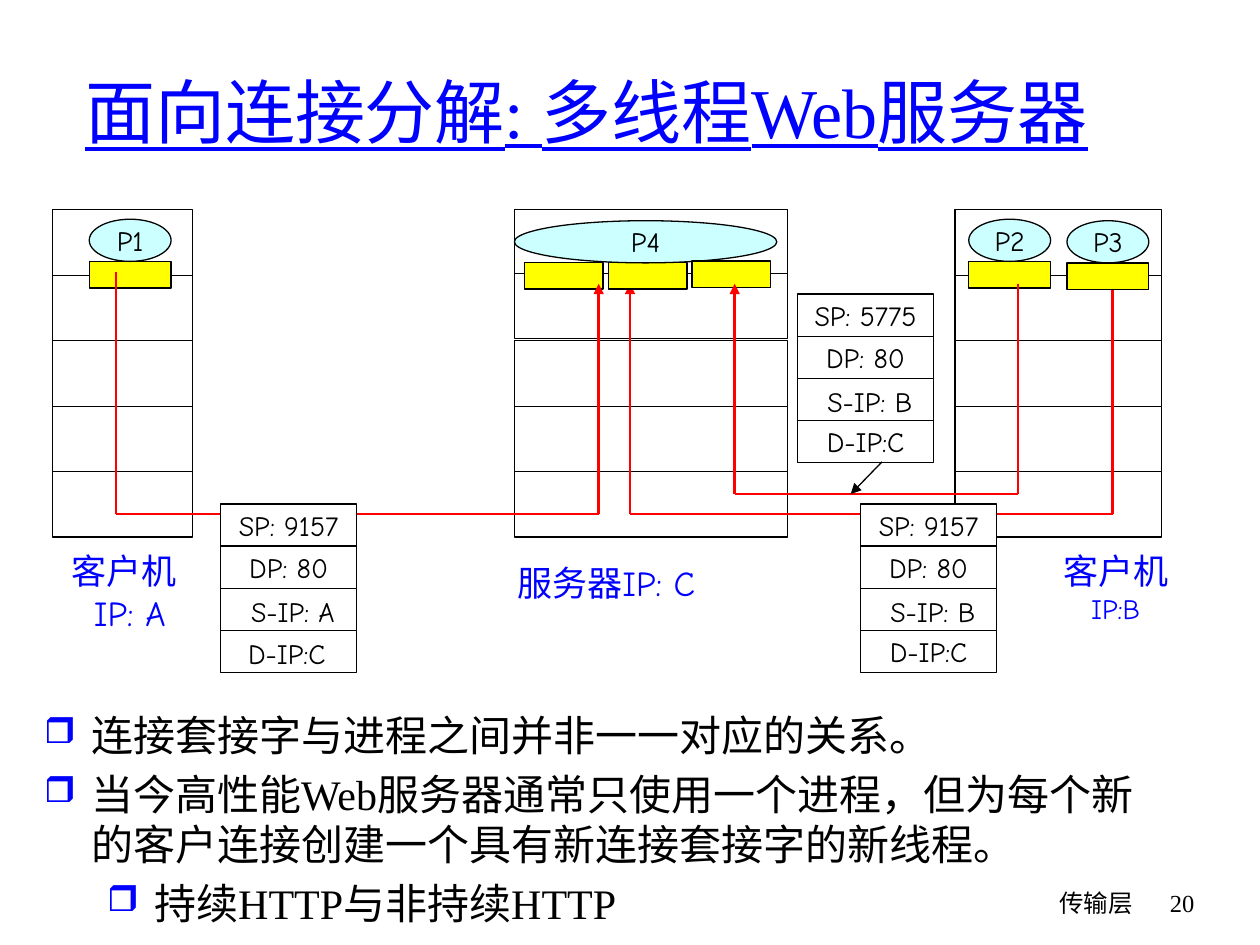
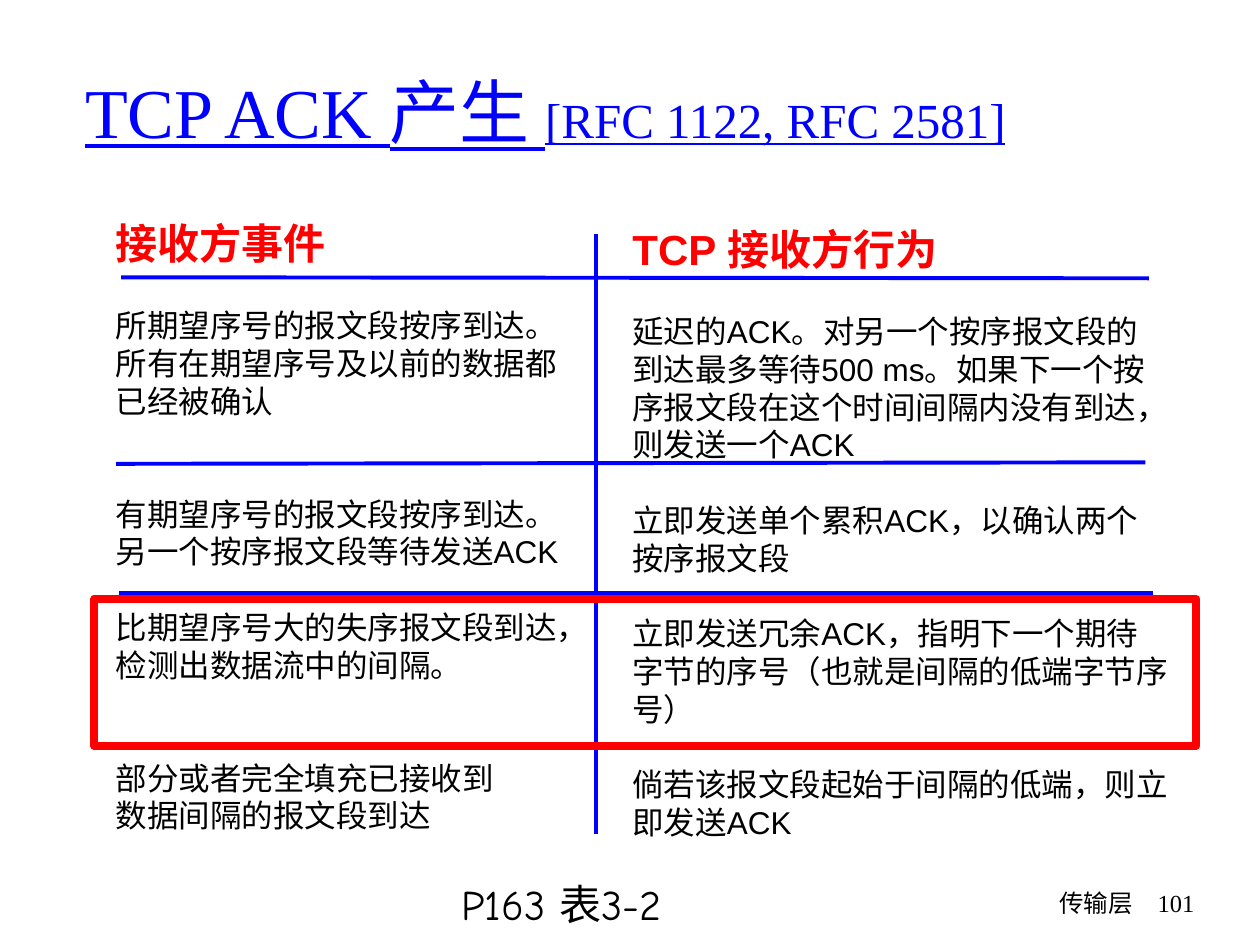
from dataclasses import dataclass
from itertools import pairwise

from lxml import etree
from pptx import Presentation
from pptx.dml.color import RGBColor
from pptx.enum.shapes import MSO_CONNECTOR, MSO_SHAPE
from pptx.enum.text import MSO_ANCHOR, PP_ALIGN
from pptx.oxml.ns import qn
from pptx.util import Cm, Pt

RECTANGLE, ELLIPSE = MSO_SHAPE.RECTANGLE, MSO_SHAPE.OVAL
STRAIGHT = MSO_CONNECTOR.STRAIGHT
LEFT, CENTER, RIGHT = PP_ALIGN.LEFT, PP_ALIGN.CENTER, PP_ALIGN.RIGHT
TOP, MIDDLE = MSO_ANCHOR.TOP, MSO_ANCHOR.MIDDLE

BLACK, BLUE, RED = "000000", "0000FF", "FF0000"
SERIF, SANS, COMIC = "Times New Roman", "Arial", "Comic Neue"


@dataclass(frozen=True)
class TextStyle:
    size: float
    font: str
    color: str = BLACK
    bold: bool = False
    underline: bool = False


@dataclass(frozen=True)
class Theme:
    paper: str = "FFFFFF"
    socket: str = "FFFF00"
    process: str = "CCFFFF"
    outline: float = 0.75
    route: float = 1.5
    rule: float = 2.25
    frame: float = 4.5
    title: TextStyle = TextStyle(40, SERIF, BLUE, underline=True)
    reference: TextStyle = TextStyle(28, SERIF, BLUE, underline=True)
    body: TextStyle = TextStyle(24, SERIF)
    footer: TextStyle = TextStyle(14, COMIC)
    number: TextStyle = TextStyle(14, SERIF)
    host: TextStyle = TextStyle(20, COMIC, BLUE)
    address: TextStyle = TextStyle(16, COMIC, BLUE)
    label: TextStyle = TextStyle(16, COMIC)
    heading: TextStyle = TextStyle(24, SANS, RED, bold=True)
    cell: TextStyle = TextStyle(18, SANS)
    caption: TextStyle = TextStyle(24, COMIC)
    blank_line: float = 21.5


class Deck:
    """Holds the theme and the current slide; all lengths are centimetres."""

    def __init__(self, theme):
        self.theme = theme
        self.presentation = Presentation()
        self.presentation.slide_width = Cm(25.4)
        self.presentation.slide_height = Cm(19.05)
        self.slide = None

    # Shared slide parts
    def new_slide(self, number, title_runs):
        self.slide = self.presentation.slides.add_slide(self.presentation.slide_layouts[6])
        title = self.text_box(1.47, 0.64, 21.59, 3.18, anchor=MIDDLE)
        self.paragraph(title, title_runs)
        footer = self.text_box(15.04, 17.78, 8.05, 1.27)
        self.paragraph(footer, [("传输层", self.theme.footer)], RIGHT)
        page = self.text_box(23.06, 17.78, 1.27, 1.27)
        self.paragraph(page, [(number, self.theme.number)], RIGHT)

    # Text
    def text_box(self, left, top, width, height, anchor=TOP, wrap=True):
        box = self.slide.shapes.add_textbox(Cm(left), Cm(top), Cm(width), Cm(height))
        frame = box.text_frame
        frame.word_wrap = wrap
        frame.vertical_anchor = anchor
        return frame

    def paragraph(self, frame, runs, align=LEFT, space_before=0):
        paragraph = frame.add_paragraph() if frame.text else frame.paragraphs[0]
        paragraph.alignment = align
        if space_before:
            paragraph.space_before = Pt(space_before)
        for text, style in runs:
            run = paragraph.add_run()
            run.text = text
            run.font.size = Pt(style.size)
            run.font.name = style.font
            run.font.bold = style.bold
            run.font.underline = style.underline
            run.font.color.rgb = RGBColor.from_string(style.color)
        return paragraph

    def bullet(self, frame, text, level=0, space_before=0):
        paragraph = self.paragraph(frame, [(text, self.theme.body)], space_before=space_before)
        paragraph.level = level
        properties = paragraph._p.get_or_add_pPr()
        properties.set("marL", str(Cm(0.95 + 1.27 * level)))
        properties.set("indent", str(Cm(-0.95)))
        color = etree.SubElement(properties, qn("a:buClr"))
        etree.SubElement(color, qn("a:srgbClr"), val=BLUE)
        etree.SubElement(properties, qn("a:buSzPct"), val="85000")
        etree.SubElement(properties, qn("a:buChar"), char="❒")

    # Shapes and lines
    def shape(self, kind, left, top, width, height, fill=None, text="", line=BLACK, weight=None):
        shape = self.slide.shapes.add_shape(kind, Cm(left), Cm(top), Cm(width), Cm(height))
        shape.shadow.inherit = False
        if fill:
            shape.fill.solid()
            shape.fill.fore_color.rgb = RGBColor.from_string(fill)
        else:
            shape.fill.background()
        shape.line.color.rgb = RGBColor.from_string(line)
        shape.line.width = Pt(weight or self.theme.outline)
        if text:
            shape.text_frame.word_wrap = False
            shape.text_frame.vertical_anchor = MIDDLE
            self.paragraph(shape.text_frame, [(text, self.theme.label)], CENTER)

    def line(self, start, end, color, weight, arrow=False):
        ends = [Cm(value) for value in (*start, *end)]
        connector = self.slide.shapes.add_connector(STRAIGHT, *ends)
        connector.line.color.rgb = RGBColor.from_string(color)
        connector.line.width = Pt(weight)
        if arrow:
            etree.SubElement(connector.line._get_or_add_ln(), qn("a:tailEnd"), type="triangle")
        etree.SubElement(connector._element.spPr, qn("a:effectLst"))

    # Network diagram elements
    def layers(self, left, width, tops):
        for top in tops:
            self.shape(RECTANGLE, left, top, width, 1.32, self.theme.paper)

    def socket(self, left, top, width):
        self.shape(RECTANGLE, left, top, width, 0.54, self.theme.socket)

    def process(self, name, left, top, width):
        self.shape(ELLIPSE, left, top, width, 0.85, self.theme.process, name)

    def client_process(self, name, left, top):
        self.socket(left, top + 0.85, 1.65)
        self.process(name, left, top, 1.65)

    def connection(self, client_x, client_y, lane_y, server_x):
        """Red route from a client socket down, across and up to the server."""
        corners = [(client_x, client_y), (client_x, lane_y), (server_x, lane_y), (server_x, 5.72)]
        for start, end in pairwise(corners):
            self.line(start, end, RED, self.theme.route, arrow=end == corners[-1])

    def segment_header(self, left, top, fields, floating):
        """Four stacked fields; floating maps a row to the offset of its label."""
        height = 0.85
        for row, field in enumerate(fields):
            text = "" if row in floating else field
            self.shape(RECTANGLE, left, top + row * height, 2.74, height, self.theme.paper, text)
        for row, offset in floating.items():
            frame = self.text_box(left + offset, top + row * height, 2.45, 0.94, wrap=False)
            self.paragraph(frame, [(fields[row], self.theme.label)], CENTER)

    def host_label(self, left, top, width, lines, wrap=False):
        frame = self.text_box(left, top, width, 1.9, wrap=wrap)
        for run in lines:
            self.paragraph(frame, [run], CENTER)

    # Comparison columns
    def column(self, left, top, width, height, heading, entries):
        """Each entry is a text and the number of line heights left above it."""
        frame = self.text_box(left, top, width, height)
        self.paragraph(frame, [(heading, self.theme.heading)])
        for text, gap in entries:
            self.paragraph(frame, [(text, self.theme.cell)],
                           space_before=gap * self.theme.blank_line)


def build_web_server_slide(deck):
    theme = deck.theme
    deck.new_slide("20", [("面向连接分解: 多线程Web服务器", theme.title)])

    # Protocol stacks of the hosts
    layer_tops = [4.23 + 1.32 * row for row in range(5)]
    server_tops = [layer_tops[0], 5.51, *layer_tops[2:]]
    deck.layers(1.06, 2.82, layer_tops)
    deck.layers(19.25, 4.17, layer_tops)
    deck.layers(10.37, 5.51, server_tops)

    # Host labels
    deck.host_label(1.19, 10.95, 2.62, [("客户机", theme.host), (" IP: A", theme.host)])
    deck.host_label(10.11, 11.2, 4.22, [("服务器IP: C", theme.host)], wrap=True)
    deck.host_label(21.18, 10.95, 2.62, [("客户机", theme.host), ("IP:B", theme.address)])

    # Processes, sockets and connections
    deck.client_process("P1", 1.8, 4.42)
    deck.client_process("P2", 19.53, 4.42)
    deck.socket(10.58, 5.29, 1.58)
    deck.connection(2.34, 5.49, 10.36, 12.07)
    deck.connection(22.43, 5.51, 10.36, 12.7)
    deck.socket(12.27, 5.29, 1.58)
    deck.process("P4", 10.37, 4.45, 5.29)
    deck.socket(13.95, 5.26, 1.58)
    deck.client_process("P3", 21.51, 4.45)
    deck.connection(20.52, 5.72, 9.96, 14.81)

    # Segment headers
    source_row = {2: 0.23}
    deck.segment_header(4.45, 10.16, ["SP: 9157", "DP: 80", "S-IP: A", "D-IP:C"],
                        {**source_row, 3: 0.11})
    for left, top, port in [(17.35, 10.16, "9157"), (16.08, 5.93, "5775")]:
        deck.segment_header(left, top, [f"SP: {port}", "DP: 80", "S-IP: B", "D-IP:C"],
                            source_row)
    deck.line((17.78, 9.31), (17.15, 9.96), BLACK, theme.outline, arrow=True)

    # Conclusions
    body = deck.text_box(0.64, 14.18, 22.86, 4.78)
    deck.bullet(body, "连接套接字与进程之间并非一一对应的关系。")
    deck.bullet(body, "当今高性能Web服务器通常只使用一个进程，但为每个新的客户连接"
                      "创建一个具有新连接套接字的新线程。", space_before=4.8)
    deck.bullet(body, "持续HTTP与非持续HTTP", level=1, space_before=4.8)


def build_ack_slide(deck):
    theme = deck.theme
    deck.new_slide("101", [("TCP ACK 产生 ", theme.title),
                           ("[RFC 1122, RFC 2581]", theme.reference)])

    # Events and actions
    deck.column(2.08, 4.27, 9.75, 13.9, "接收方事件", [
        ("所期望序号的报文段按序到达。所有在期望序号及以前的数据都已经被确认", 1),
        ("有期望序号的报文段按序到达。另一个按序报文段等待发送ACK", 2),
        ("比期望序号大的失序报文段到达，检测出数据流中的间隔。", 1),
        ("部分或者完全填充已接收到", 2),
        ("数据间隔的报文段到达", 0),
    ])
    deck.column(12.5, 4.39, 11.33, 13.49, "TCP 接收方行为", [
        ("延迟的ACK。对另一个按序报文段的到达最多等待500 ms。"
         "如果下一个按序报文段在这个时间间隔内没有到达，则发送一个ACK", 1),
        ("立即发送单个累积ACK，以确认两个按序报文段", 1),
        ("立即发送冗余ACK，指明下一个期待字节的序号（也就是间隔的低端字节序号）", 1),
        ("倘若该报文段起始于间隔的低端，则立即发送ACK", 1),
    ])

    # Rules, highlighted row and caption
    rules = [
        ((2.44, 5.59), (23.16, 5.61)),
        ((2.34, 9.35), (23.09, 9.32)),
        ((2.39, 11.96), (23.24, 11.96)),
        ((12.01, 4.72), (12.01, 16.81)),
    ]
    for start, end in rules:
        deck.line(start, end, BLUE, theme.rule)
    deck.shape(RECTANGLE, 1.9, 12.07, 22.22, 2.97, line=RED, weight=theme.frame)
    caption = deck.text_box(8.26, 17.58, 6.12, 1.3)
    deck.paragraph(caption, [("P163 表3-2", theme.caption)], CENTER)


def main():
    deck = Deck(Theme())
    build_web_server_slide(deck)
    build_ack_slide(deck)
    deck.presentation.save("out.pptx")


if __name__ == "__main__":
    main()
